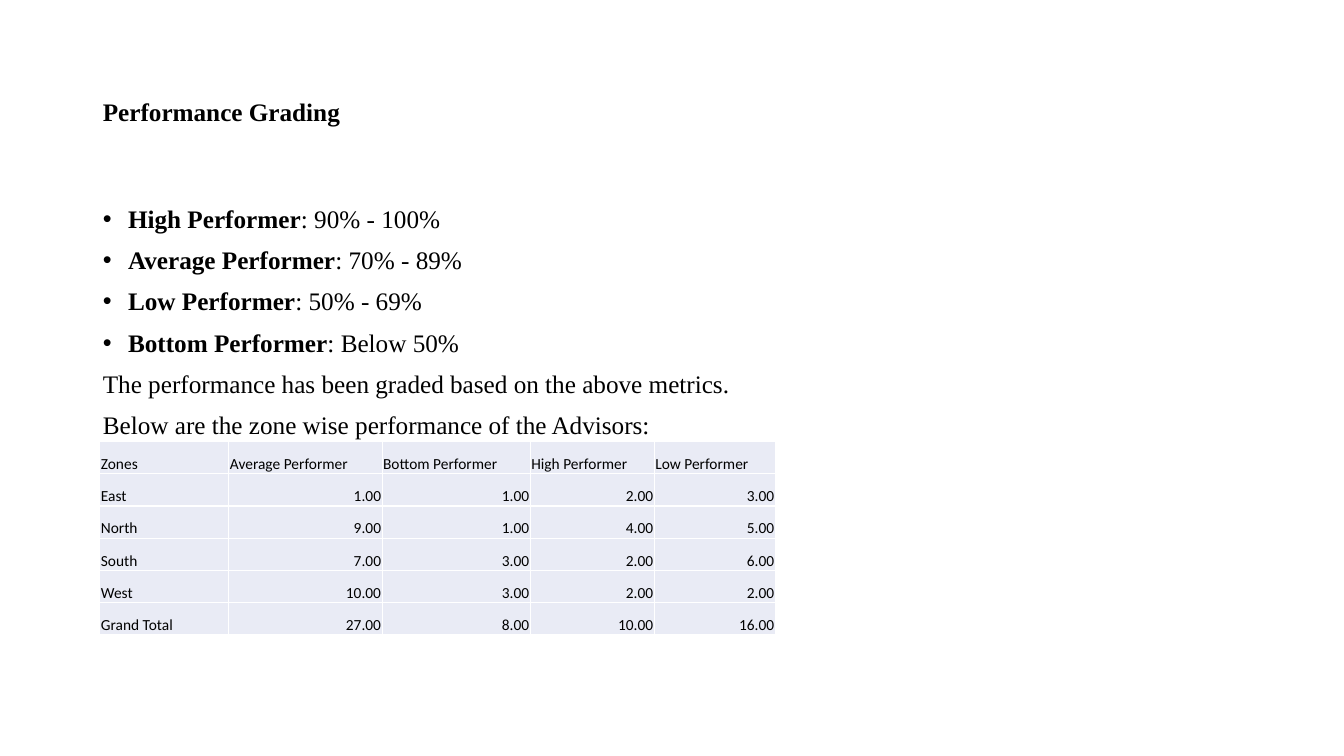
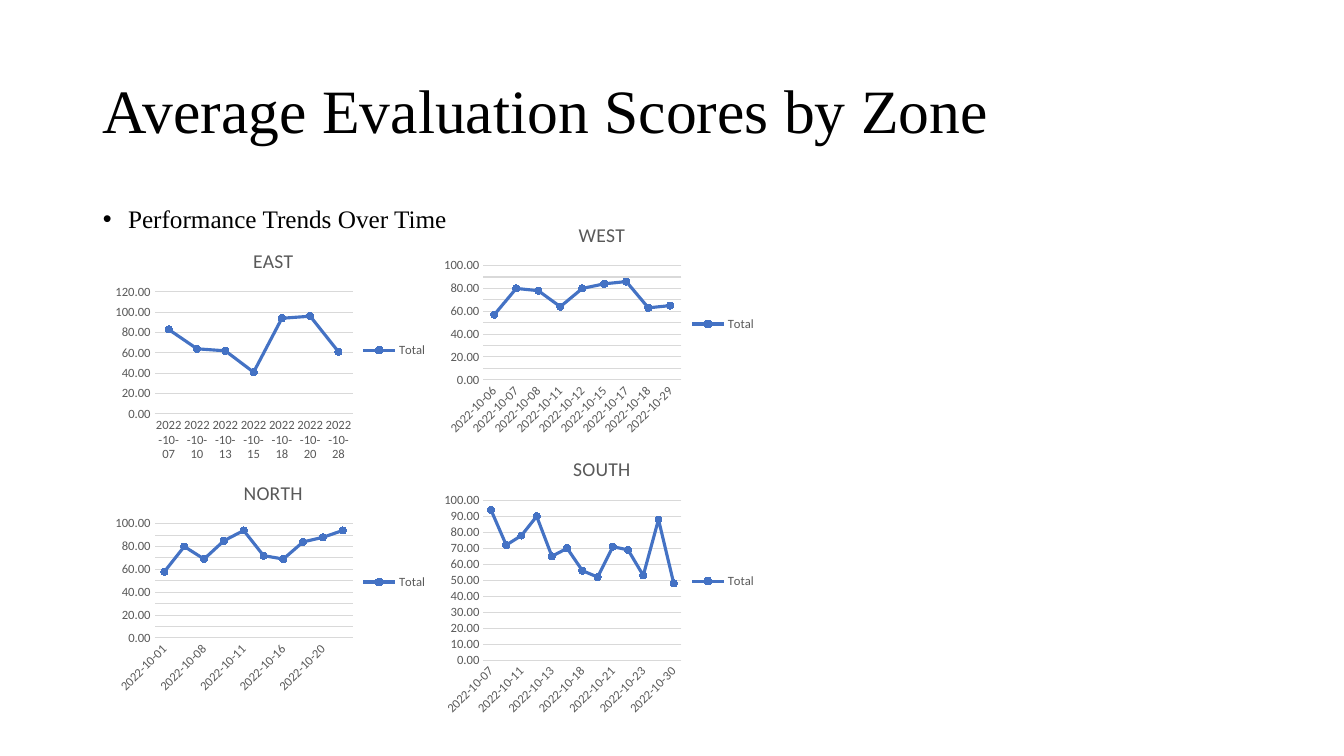
import pptx
import pptx.chart.data
import pptx.dml.color
import pptx.enum.chart
import pptx.enum.text
import pptx.oxml.ns
import pptx.util
from lxml import etree

RGBColor = pptx.dml.color.RGBColor
Inches, Pt = pptx.util.Inches, pptx.util.Pt
ALIGN = pptx.enum.text.PP_ALIGN
ANCHOR = pptx.enum.text.MSO_ANCHOR

# Content: a pair is a bulleted (bold, regular) line, a string is a plain line
GRADING_TITLE = "Performance Grading"
GRADING_LINES = [
    ("High Performer", ": 90% - 100%"),
    ("Average Performer", ": 70% - 89%"),
    ("Low Performer", ": 50% - 69%"),
    ("Bottom Performer", ": Below 50%"),
    "The performance has been graded based on the above metrics.",
    "Below are the zone wise performance of the Advisors:",
]
ZONE_HEADER = ["Zones", "Average Performer", "Bottom Performer", "High Performer", "Low Performer"]
ZONE_COUNTS = [
    ("East", 1, 1, 2, 3),
    ("North", 9, 1, 4, 5),
    ("South", 7, 3, 2, 6),
    ("West", 10, 3, 2, 2),
    ("Grand Total", 27, 8, 10, 16),
]
TRENDS_TITLE = "Average Evaluation Scores by Zone"
TRENDS_LINES = [("", "Performance Trends Over Time")]
MONTH = "2022-10-"
# Zone, grid column, top, height, score by day of the month
TRENDS = [
    ("EAST", 0, 2.32, 2.31, {7: 83, 10: 64, 13: 62, 15: 41, 18: 94, 20: 96, 28: 61}),
    ("WEST", 1, 2.06, 2.31, {6: 57, 7: 80, 8: 78, 11: 64, 12: 80, 15: 84, 17: 86,
                             18: 63, 29: 65}),
    ("NORTH", 0, 4.62, 2.31, {1: 58, 6: 80, 8: 69, 10: 85, 11: 94, 14: 72, 16: 69,
                              18: 84, 20: 88, 27: 94}),
    ("SOUTH", 1, 4.37, 2.79, {7: 94, 8: 72, 11: 78, 12: 90, 13: 65, 15: 70, 18: 56,
                              19: 52, 21: 71, 22: 69, 23: 53, 28: 88, 30: 48}),
]

# Shared look
BLACK = RGBColor(0x00, 0x00, 0x00)
GREY = RGBColor(0x59, 0x59, 0x59)
RULE = RGBColor(0xD9, 0xD9, 0xD9)
BLUE = RGBColor(0x44, 0x72, 0xC4)
CELL = RGBColor(0xE9, 0xEB, 0xF5)
SERIF = {"name": "Times New Roman", "color": BLACK}
BODY_FONT = {**SERIF, "size": Pt(18)}
TABLE_FONT = {"name": "Calibri", "size": Pt(11), "color": BLACK, "bold": False}
CHART_FONT = {"name": "Calibri", "size": Pt(9), "color": GREY, "bold": False}
CELL_FORMAT = {
    "vertical_anchor": ANCHOR.BOTTOM, "margin_left": Inches(0.01),
    "margin_right": Inches(0.01), "margin_top": Inches(0.01), "margin_bottom": 0,
}

# Geometry in inches
TITLE_BOX = (0.92, 0.4, 11.5, 1.45)
BODY_BOX = (0.92, 2, 11.5, 4.76)
INDENT = 0.25
TABLE_LEFT, TABLE_TOP, ROW_HEIGHT = 0.99, 4.38, 0.32
COLUMN_WIDTHS = [1.28, 1.52, 1.47, 1.23, 1.2]
CHART_LEFT, CHART_WIDTH = 1.08, 3.26


def apply(target, formats):
    for key, value in formats.items():
        if key == "color":
            target.color.rgb = value
        else:
            setattr(target, key, value)


def place(shape, box):
    apply(shape, dict(zip(("left", "top", "width", "height"), map(Inches, box))))


def set_bullet(paragraph, bulleted):
    props = paragraph._p.get_or_add_pPr()
    indent = Inches(INDENT) if bulleted else 0
    props.set("marL", str(indent))
    props.set("indent", str(-indent))
    if bulleted:
        font = etree.SubElement(props, pptx.oxml.ns.qn("a:buFont"))
        font.set("typeface", "Arial")
        etree.SubElement(props, pptx.oxml.ns.qn("a:buChar")).set("char", "•")
    else:
        etree.SubElement(props, pptx.oxml.ns.qn("a:buNone"))


def add_slide(deck, heading, heading_font, lines):
    slide = deck.slides.add_slide(deck.slide_layouts[1])
    title, body = slide.shapes.title, slide.placeholders[1]
    place(title, TITLE_BOX)
    place(body, BODY_BOX)

    title.text_frame.vertical_anchor = ANCHOR.MIDDLE
    title.text_frame.text = heading
    paragraph = title.text_frame.paragraphs[0]
    apply(paragraph, {"alignment": ALIGN.LEFT, "line_spacing": 0.9})
    apply(paragraph.runs[0].font, {**SERIF, **heading_font})

    for number, line in enumerate(lines):
        first = number == 0
        paragraph = body.text_frame.paragraphs[0] if first else body.text_frame.add_paragraph()
        bulleted = isinstance(line, tuple)
        set_bullet(paragraph, bulleted)
        apply(paragraph, {"line_spacing": 0.9, "space_before": Pt(0 if first else 10)})
        strong, plain = line if bulleted else ("", line)
        for text, bold in ((strong, True), (plain, False)):
            if text:
                run = paragraph.add_run()
                run.text = text
                apply(run.font, {**BODY_FONT, "bold": bold})
    return slide


def add_zone_table(slide):
    rows = [ZONE_HEADER] + [
        [zone] + [f"{count:.2f}" for count in counts] for zone, *counts in ZONE_COUNTS
    ]
    box = (TABLE_LEFT, TABLE_TOP, sum(COLUMN_WIDTHS), ROW_HEIGHT * len(rows))
    zones = slide.shapes.add_table(len(rows), len(ZONE_HEADER), *map(Inches, box)).table
    apply(zones, {"first_row": False, "horz_banding": False})
    for column, width in zip(zones.columns, COLUMN_WIDTHS):
        column.width = Inches(width)
    for r, texts in enumerate(rows):
        zones.rows[r].height = Inches(ROW_HEIGHT)
        for c, text in enumerate(texts):
            cell = zones.cell(r, c)
            apply(cell, CELL_FORMAT)
            cell.fill.solid()
            cell.fill.fore_color.rgb = CELL
            cell.text = text
            paragraph = cell.text_frame.paragraphs[0]
            paragraph.alignment = ALIGN.RIGHT if r and c else ALIGN.LEFT
            apply(paragraph.runs[0].font, TABLE_FONT)


def add_trend(slide, zone, column, top, height, scores):
    data = pptx.chart.data.CategoryChartData(number_format="0.00")
    data.categories = [f"{MONTH}{day:02}" for day in scores]
    data.add_series("Total", list(scores.values()))
    box = (CHART_LEFT + column * CHART_WIDTH, top, CHART_WIDTH, height)
    trend = slide.shapes.add_chart(
        pptx.enum.chart.XL_CHART_TYPE.LINE_MARKERS, *map(Inches, box), data).chart
    apply(trend.font, {"name": "Calibri", "size": Pt(10)})

    # Title and legend
    trend.has_title = True
    trend.chart_title.text_frame.text = zone
    heading = trend.chart_title.text_frame.paragraphs[0].runs[0]
    apply(heading.font, {**CHART_FONT, "size": Pt(14)})
    trend.has_legend = True
    apply(trend.legend, {"position": pptx.enum.chart.XL_LEGEND_POSITION.RIGHT,
                         "include_in_layout": False})
    apply(trend.legend.font, CHART_FONT)

    # Axes
    days, values = trend.category_axis, trend.value_axis
    for axis in (days, values):
        axis.major_tick_mark = pptx.enum.chart.XL_TICK_MARK.NONE
        apply(axis.tick_labels.font, CHART_FONT)
        # This rotation value lets the labels turn when space is short
        for label_body in axis._element.iter(pptx.oxml.ns.qn("a:bodyPr")):
            label_body.set("rot", "-60000000")
    values.has_major_gridlines = True
    for line in (days.format.line, values.major_gridlines.format.line):
        apply(line, {"color": RULE, "width": Pt(0.75)})
    values.format.line.fill.background()
    apply(values.tick_labels, {"number_format": "0.00", "number_format_is_linked": False})

    # Line and markers
    trend.plots[0].vary_by_categories = False
    total = trend.plots[0].series[0]
    total.smooth = False
    apply(total.format.line, {"color": BLUE, "width": Pt(2.25)})
    apply(total.marker, {"style": pptx.enum.chart.XL_MARKER_STYLE.CIRCLE, "size": 5})
    total.marker.format.fill.solid()
    total.marker.format.fill.fore_color.rgb = BLUE
    total.marker.format.line.color.rgb = BLUE


def main():
    deck = pptx.Presentation()
    apply(deck, {"slide_width": Inches(13.33), "slide_height": Inches(7.5)})
    grading = add_slide(deck, GRADING_TITLE, {"size": Pt(18), "bold": True}, GRADING_LINES)
    add_zone_table(grading)
    trends = add_slide(deck, TRENDS_TITLE, {"size": Pt(44), "bold": False}, TRENDS_LINES)
    for trend in TRENDS:
        add_trend(trends, *trend)
    deck.save("out.pptx")


if __name__ == "__main__":
    main()
